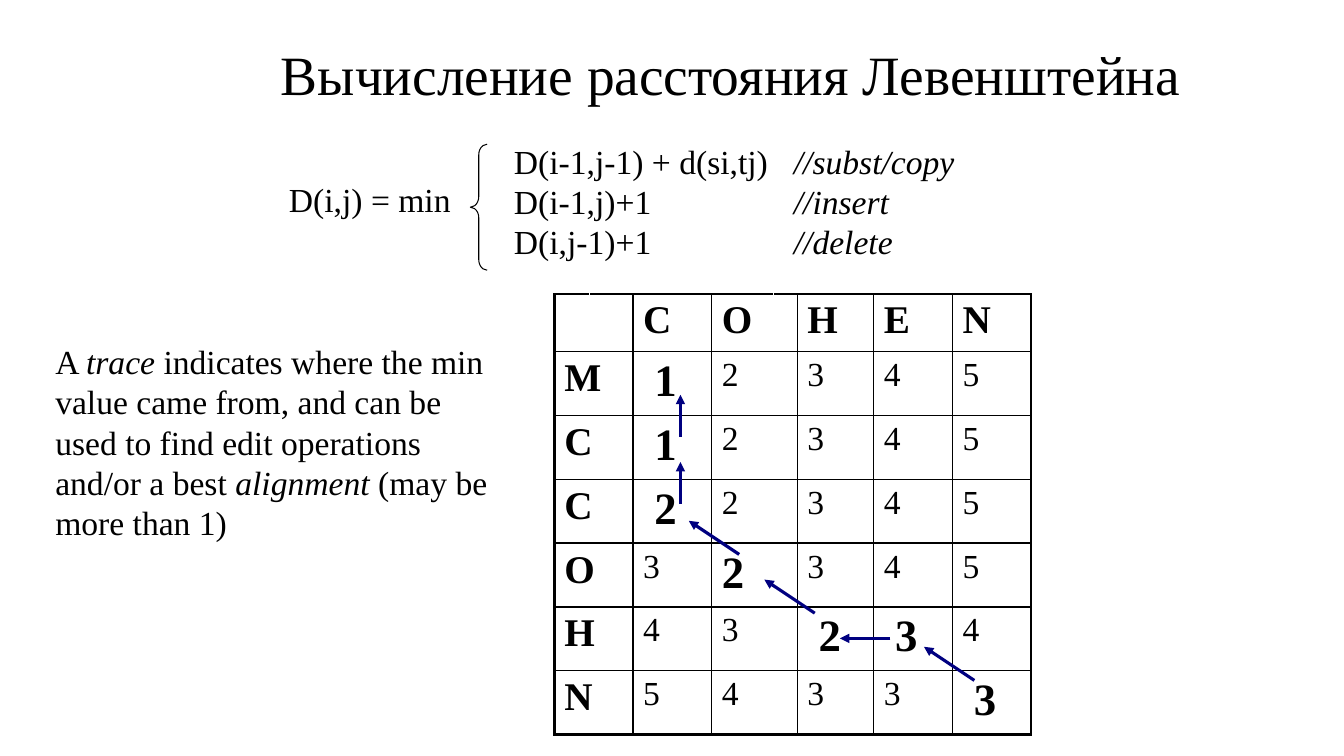
"""Build a slide on computing the Levenshtein distance with a traced matrix."""
from lxml import etree
from pptx import Presentation
from pptx.dml.color import RGBColor
from pptx.enum.shapes import MSO_CONNECTOR, MSO_SHAPE
from pptx.enum.text import MSO_ANCHOR, PP_ALIGN
from pptx.oxml import parse_xml
from pptx.oxml.ns import nsdecls, qn
from pptx.util import Pt

STRAIGHT = MSO_CONNECTOR.STRAIGHT
LEFT_BRACE = MSO_SHAPE.LEFT_BRACE
MIDDLE = MSO_ANCHOR.MIDDLE
LEFT, CENTER, RIGHT = PP_ALIGN.LEFT, PP_ALIGN.CENTER, PP_ALIGN.RIGHT
FONT = "Times New Roman"
BLACK, WHITE, NAVY = "000000", "FFFFFF", "000080"


def color(hex_string):
    return RGBColor.from_string(hex_string)


def write(paragraph, runs, size, bold=False, align=LEFT):
    for text, italic in runs:
        run = paragraph.add_run()
        run.text = text
        if italic:
            run.font.italic = True
    paragraph.alignment = align
    paragraph.font.name = FONT
    paragraph.font.size = Pt(size)
    paragraph.font.bold = bold
    paragraph.font.color.rgb = color(BLACK)


prs = Presentation()
prs.slide_width, prs.slide_height = Pt(960), Pt(540)
slide = prs.slides.add_slide(prs.slide_layouts[6])
shapes = slide.shapes

title = shapes.add_textbox(Pt(156), Pt(30), Pt(732), Pt(45)).text_frame
title.word_wrap = True
title.vertical_anchor = MIDDLE
write(title.paragraphs[0], [("Вычисление расстояния Левенштейна", False)], 39.6, align=CENTER)

brace = shapes.add_shape(LEFT_BRACE, Pt(336), Pt(103), Pt(12), Pt(90))
brace.adjustments[0] = 0.625
brace.shadow.inherit = False
brace.fill.background()
brace.line.color.rgb = color(BLACK)
brace.line.width = Pt(0.75)

recurrence = shapes.add_textbox(Pt(198), Pt(124), Pt(131), Pt(36)).text_frame
recurrence.word_wrap = False
write(recurrence.paragraphs[0], [("D(i,j) = min", False)], 24, align=RIGHT)

options = shapes.add_textbox(Pt(360), Pt(97), Pt(336), Pt(94)).text_frame
options.word_wrap = True
for index, (formula, operation) in enumerate([
    ("D(i-1,j-1) + d(si,tj)", "//subst/copy"),
    ("D(i-1,j)+1", "//insert"),
    ("D(i,j-1)+1", "//delete"),
]):
    option = options.paragraphs[0] if index == 0 else options.add_paragraph()
    write(option, [(formula + "\t", False), (operation, True)], 24)
    tabs = parse_xml(f'<a:tabLst {nsdecls("a")}><a:tab pos="{Pt(200)}" algn="l"/></a:tabLst>')
    option._p.pPr.find(qn("a:defRPr")).addprevious(tabs)

# The trace cells carry a star in front of their value.
matrix_rows = [
    ["", "C", "O", "H", "E", "N"],
    ["M", "* 1", "2", "3", "4", "5"],
    ["C", "* 1", "2", "3", "4", "5"],
    ["C", "* 2", "2", "3", "4", "5"],
    ["O", "3", "*2", "3", "4", "5"],
    ["H", "4", "3", "* 2", "* 3", "4"],
    ["N", "5", "4", "3", "3", "* 3"],
]
column_widths = [25.2, 31, 56.2, 43.9, 16.6, 54.7, 56.2, 56.2]
value_columns = [0, 2, 3, 5, 6, 7]
first_merged_row = {0: 1, 3: 2}
last_row, last_column = len(matrix_rows) - 1, len(column_widths) - 1

matrix = shapes.add_table(len(matrix_rows), len(column_widths),
                          Pt(396), Pt(210), Pt(340), Pt(314.6)).table
matrix.first_row = matrix.horz_banding = False
for column, width in zip(matrix.columns, column_widths):
    column.width = Pt(width)
for r, values in enumerate(matrix_rows):
    matrix.rows[r].height = Pt(41 if r == 0 else 45.6)
    for c in range(len(column_widths)):
        cell = matrix.cell(r, c)
        split = c in first_merged_row and r < first_merged_row[c]
        if c in first_merged_row and not split:
            cell.merge(matrix.cell(r, c + 1))
        edges = {
            "lnL": (WHITE if c - 1 in first_merged_row else BLACK, 2.25 if c == 0 else 1),
            "lnR": (WHITE if split else BLACK, 2.25 if c == last_column else 1),
            "lnT": (BLACK, 1),
            "lnB": (BLACK, 2.25 if r == last_row else 1),
        }
        for side, (edge_color, width) in edges.items():
            cell._tc.get_or_add_tcPr().append(parse_xml(
                f'<a:{side} {nsdecls("a")} w="{Pt(width)}"><a:solidFill>'
                f'<a:srgbClr val="{edge_color}"/></a:solidFill></a:{side}>'))
        cell.fill.background()
    for c, value in zip(value_columns, values):
        traced = value.startswith("*")
        heading = value.isalpha()
        if value:
            write(matrix.cell(r, c).text_frame.paragraphs[0], [(value.lstrip("*"), False)],
                  32 if traced else 28 if heading else 24, bold=traced or heading)

explanation = shapes.add_textbox(Pt(32.4), Pt(240), Pt(332.6), Pt(152.6)).text_frame
explanation.word_wrap = True
write(explanation.paragraphs[0], [
    ("A ", False),
    ("trace ", True),
    ("indicates where the min value came from, and can be used to find "
     "edit operations and/or a best ", False),
    ("alignment ", True),
    ("(may be more than 1)", False),
], 24)

for x1, y1, x2, y2 in [
    (696, 486, 660, 462),
    (636, 456, 600, 456),
    (582, 438, 546, 414),
    (528, 396, 492, 372),
    (486, 360, 486, 330),
    (486, 312, 486, 282),
]:
    step = shapes.add_connector(STRAIGHT, Pt(x1), Pt(y1), Pt(x2), Pt(y2))
    step.line.color.rgb = color(NAVY)
    step.line.width = Pt(2.25)
    etree.SubElement(step.line._get_or_add_ln(), qn("a:tailEnd"), type="triangle")
    etree.SubElement(step._element.spPr, qn("a:effectLst"))

prs.save("out.pptx")
